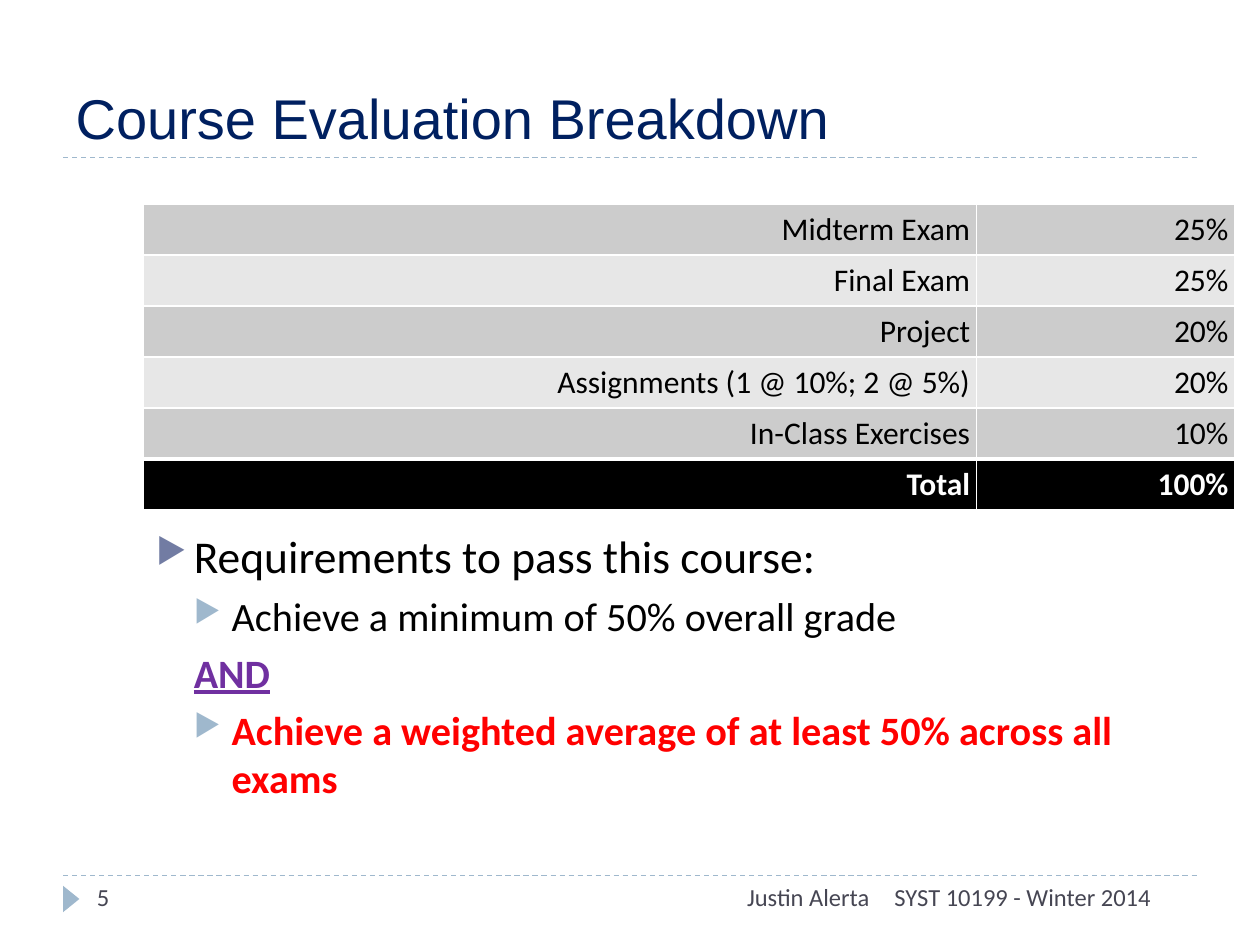
import dataclasses

import lxml.etree
import pptx
import pptx.dml.color
import pptx.enum.dml
import pptx.enum.shapes
import pptx.enum.text
import pptx.oxml.ns
import pptx.util

Inches, Pt = pptx.util.Inches, pptx.util.Pt
Align = pptx.enum.text.PP_ALIGN
qn = pptx.oxml.ns.qn


@dataclasses.dataclass(frozen=True)
class Theme:
    """Colours, fonts and type sizes of the slide."""
    title_font: str = "Arial"
    body_font: str = "Calibri"
    title: str = "002060"
    text: str = "000000"
    inverse: str = "FFFFFF"
    footer: str = "464653"
    rule: str = "9FB8CD"
    bullets: tuple = ("727CA3", "9FB8CD")
    bands: tuple = ("CCCCCC", "E7E7E7")
    joiner: str = "7030A0"
    warning: str = "FF0000"
    title_size: int = 32
    body_sizes: tuple = (26, 23)
    table_size: int = 18
    footer_size: int = 14


THEME = Theme()
WIDTH, HEIGHT = 10, 7.5
MARGIN = 0.05 * WIDTH
CONTENT_LEFT, CONTENT_WIDTH = 1.14, 8.66
FOOTER_TOP = 6.95
INDENT = 0.3
GRADES = (
    ("Midterm Exam", "25%"),
    ("Final Exam", "25%"),
    ("Project", "20%"),
    ("Assignments (1 @ 10%; 2 @ 5%)", "20%"),
    ("In-Class Exercises", "10%"),
    ("Total", "100%"),
)


def rgb(colour):
    """Return a colour object for a hex value."""
    return pptx.dml.color.RGBColor.from_string(colour)


def style(paragraph, size, colour, font=THEME.body_font, bold=False, underline=False):
    """Format every run of a paragraph."""
    for run in paragraph.runs:
        run.font.name, run.font.size = font, Pt(size)
        run.font.bold, run.font.underline = bold, underline
        run.font.color.rgb = rgb(colour)


def add_rule(slide, top):
    """Draw a dashed line between the side margins."""
    rule = slide.shapes.add_connector(
        pptx.enum.shapes.MSO_CONNECTOR.STRAIGHT,
        Inches(MARGIN), Inches(top), Inches(WIDTH - MARGIN), Inches(top))
    rule.line.color.rgb = rgb(THEME.rule)
    rule.line.width = Pt(0.75)
    rule.line.dash_style = pptx.enum.dml.MSO_LINE.DASH
    lxml.etree.SubElement(rule._element.spPr, qn("a:effectLst"))


def add_marker(slide):
    """Draw the triangle that points at the slide number."""
    marker = slide.shapes.add_shape(
        pptx.enum.shapes.MSO_SHAPE.ISOSCELES_TRIANGLE,
        Inches(0.46), Inches(7.07), Inches(0.21), Inches(0.13))
    marker.rotation = 90
    marker.shadow.inherit = False
    marker.fill.solid()
    marker.fill.fore_color.rgb = rgb(THEME.rule)
    marker.line.fill.background()


def set_title(slide, text):
    """Place and format the title placeholder."""
    title = slide.shapes.title
    title.left, title.top = Inches(MARGIN), Inches(0.17)
    title.width, title.height = Inches(WIDTH - 2 * MARGIN), Inches(1.08)
    title.text_frame.text = text
    title.text_frame.vertical_anchor = pptx.enum.text.MSO_ANCHOR.BOTTOM
    paragraph = title.text_frame.paragraphs[0]
    paragraph.alignment = Align.LEFT
    style(paragraph, THEME.title_size, THEME.title, THEME.title_font)


def add_text_box(slide, left, top, width, height):
    """Add a wrapping text box and return its text frame."""
    frame = slide.shapes.add_textbox(
        Inches(left), Inches(top), Inches(width), Inches(height)).text_frame
    frame.word_wrap = True
    return frame


def add_footer(slide, text, left, width, alignment=Align.LEFT):
    """Add one text of the footer row."""
    frame = add_text_box(slide, left, FOOTER_TOP, width, 0.4)
    frame.text = text
    frame.paragraphs[0].alignment = alignment
    style(frame.paragraphs[0], THEME.footer_size, THEME.footer)


def set_borders(cell, top, bottom):
    """Give a cell solid borders in the inverse colour."""
    properties = cell._tc.get_or_add_tcPr()
    for index, (side, width) in enumerate(
            (("L", 1), ("R", 1), ("T", top), ("B", bottom))):
        line = lxml.etree.Element(qn("a:ln" + side), w=str(Pt(width)))
        fill = lxml.etree.SubElement(line, qn("a:solidFill"))
        lxml.etree.SubElement(fill, qn("a:srgbClr"), val=THEME.inverse)
        properties.insert(index, line)


def add_grade_table(slide, grades):
    """Add the banded grade table with a dark total row."""
    total = len(grades) - 1
    table = slide.shapes.add_table(
        len(grades), 2, Inches(CONTENT_LEFT), Inches(1.62),
        Inches(CONTENT_WIDTH), Inches(2.43)).table
    table.first_row = False
    for column, width in zip(table.columns, (6.61, 2.05)):
        column.width = Inches(width)
    for row, values in enumerate(grades):
        is_total = row == total
        for column, value in enumerate(values):
            cell = table.cell(row, column)
            cell.text_frame.text = value
            cell.margin_left = cell.margin_right = Inches(0.05)
            cell.margin_top = cell.margin_bottom = Inches(0.05)
            cell.fill.solid()
            cell.fill.fore_color.rgb = rgb(
                THEME.text if is_total else THEME.bands[row % 2])
            set_borders(cell, 3 if is_total else 1, 3 if row == total - 1 else 1)
            paragraph = cell.text_frame.paragraphs[0]
            paragraph.alignment = Align.RIGHT
            style(paragraph, THEME.table_size,
                  THEME.inverse if is_total else THEME.text, bold=is_total)


def set_bullet(paragraph, level):
    """Give a paragraph a hanging triangle bullet."""
    properties = paragraph._p.get_or_add_pPr()
    properties.set("marL", str(Inches(INDENT * (level + 1))))
    properties.set("indent", str(-Inches(INDENT)))
    colour = lxml.etree.SubElement(properties, qn("a:buClr"))
    lxml.etree.SubElement(colour, qn("a:srgbClr"), val=THEME.bullets[level])
    lxml.etree.SubElement(properties, qn("a:buSzPct"), val="76000")
    lxml.etree.SubElement(properties, qn("a:buChar"), char="\u25b6")


def add_requirements(slide):
    """Add the list of conditions for passing."""
    items = (
        ("Requirements to pass this course:", 0, True, THEME.text, False),
        ("Achieve a minimum of 50% overall grade", 1, True, THEME.text, False),
        ("AND", 1, False, THEME.joiner, True),
        ("Achieve a weighted average of at least 50% across all exams",
         1, True, THEME.warning, True),
    )
    frame = add_text_box(slide, CONTENT_LEFT, 4.14, CONTENT_WIDTH, 2.68)
    frame.text = "\n".join(item[0] for item in items)
    for paragraph, (_, level, bulleted, colour, bold) in zip(frame.paragraphs, items):
        paragraph.level = level
        paragraph.space_before = Pt(6 - level)
        if bulleted:
            set_bullet(paragraph, level)
        else:
            paragraph._p.get_or_add_pPr().set("marL", str(Inches(INDENT)))
        style(paragraph, THEME.body_sizes[level], colour,
              bold=bold, underline=not bulleted)


def main():
    """Build and save the course evaluation slide."""
    presentation = pptx.Presentation()
    presentation.slide_width, presentation.slide_height = Inches(WIDTH), Inches(HEIGHT)
    slide = presentation.slides.add_slide(presentation.slide_layouts[5])
    for top in (FOOTER_TOP, 1.25):
        add_rule(slide, top)
    add_marker(slide)
    set_title(slide, "Course Evaluation Breakdown")
    add_footer(slide, "SYST 10199 - Winter 2014", 7, 2.5)
    add_footer(slide, "Justin Alerta", 3.17, 3.83, Align.RIGHT)
    add_footer(slide, "5", 0.67, 2.17)
    add_grade_table(slide, GRADES)
    add_requirements(slide)
    presentation.save("out.pptx")


main()
